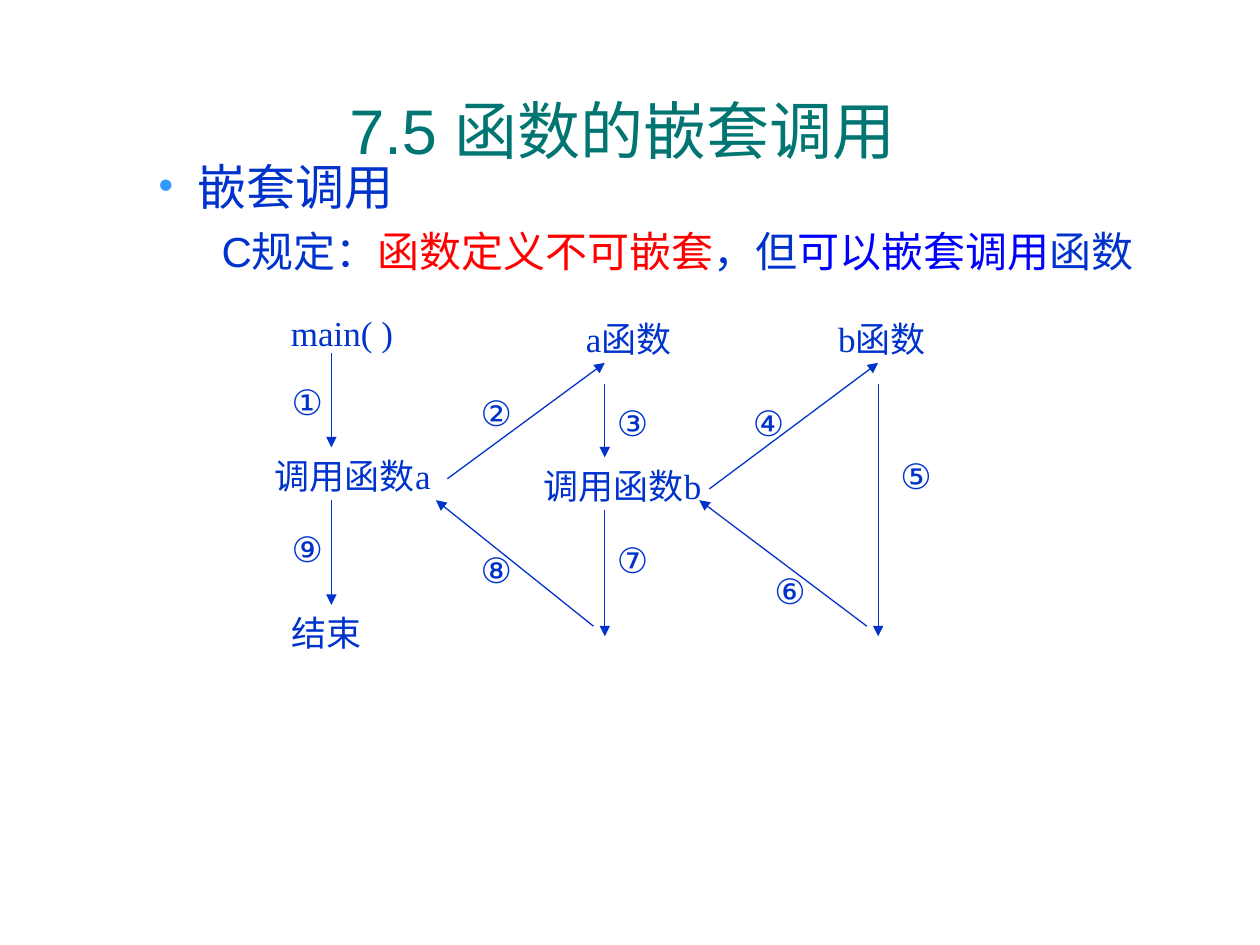
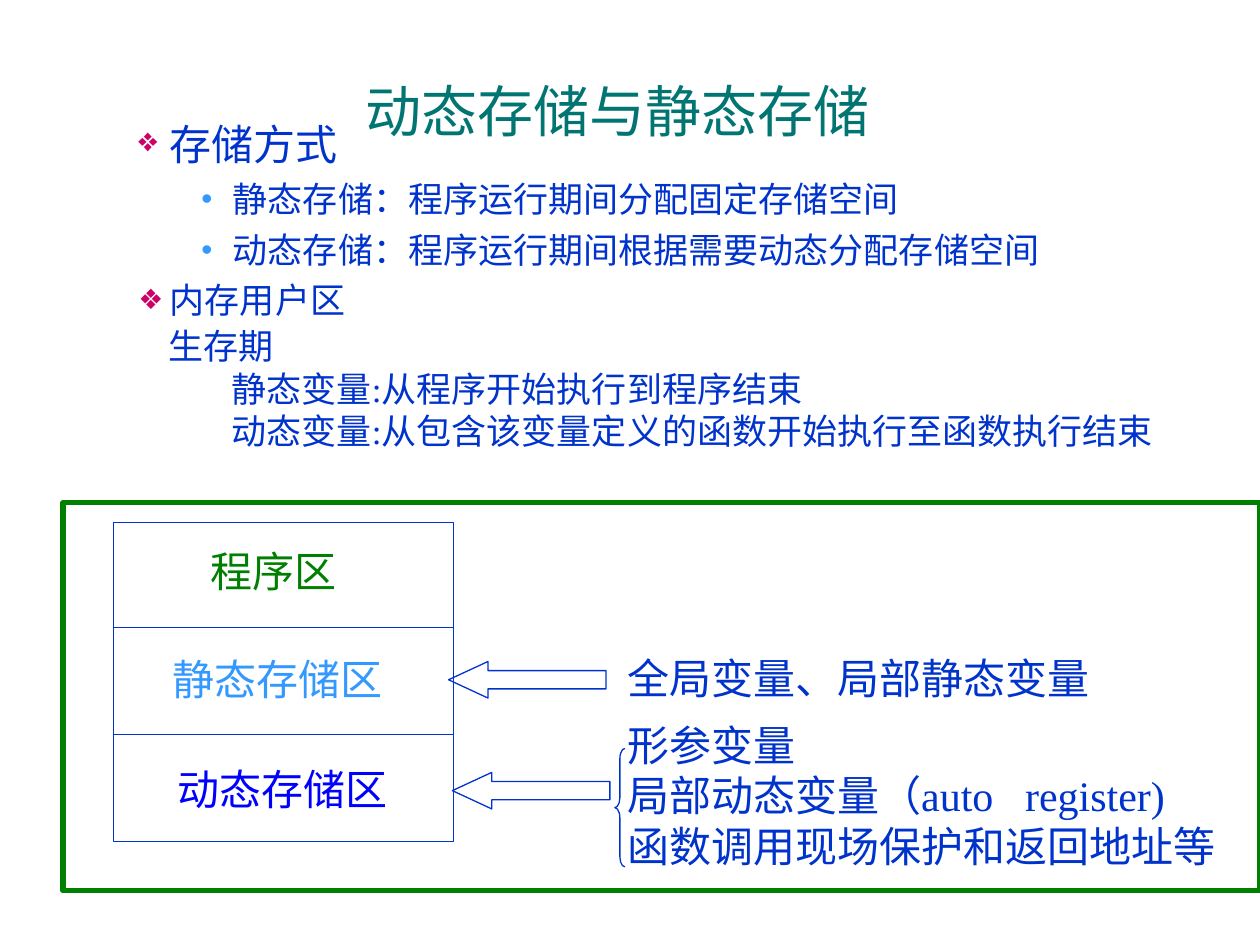
import pptx
import pptx.dml.color
import pptx.enum.shapes
import pptx.enum.text
import pptx.oxml.ns
import pptx.util
from lxml import etree

Inches = pptx.util.Inches
Pt = pptx.util.Pt
RGBColor = pptx.dml.color.RGBColor
PP_ALIGN = pptx.enum.text.PP_ALIGN
MSO_ANCHOR = pptx.enum.text.MSO_ANCHOR
MSO_AUTO_SIZE = pptx.enum.text.MSO_AUTO_SIZE
MSO_SHAPE = pptx.enum.shapes.MSO_SHAPE
qn = pptx.oxml.ns.qn

TEAL = RGBColor(0x00, 0x75, 0x72)
BLUE = RGBColor(0x00, 0x33, 0xCC)
PURE_BLUE = RGBColor(0x00, 0x00, 0xFF)
SKY = RGBColor(0x33, 0x99, 0xFF)
RED = RGBColor(0xFF, 0x00, 0x00)
GREEN = RGBColor(0x00, 0x80, 0x00)
MAGENTA = RGBColor(0xCC, 0x00, 0x66)
WHITE = RGBColor(0xFF, 0xFF, 0xFF)
SANS = "Arial"
SERIF = "Times New Roman"
DIAMOND = ("❖", MAGENTA, 80)
LABEL_SLACK = 0.1


def add_text(slide, box, paragraphs, font, align=PP_ALIGN.LEFT, anchor=MSO_ANCHOR.MIDDLE):
    frame = slide.shapes.add_textbox(*map(Inches, box)).text_frame
    frame.word_wrap = True
    frame.vertical_anchor = anchor
    for index, (runs, size, margin, hanging, space, bullet) in enumerate(paragraphs):
        paragraph = frame.add_paragraph() if index else frame.paragraphs[0]
        paragraph.alignment = align
        if index:
            paragraph.space_before = Pt(space)
        properties = paragraph._p.get_or_add_pPr()
        properties.set("marL", str(Inches(margin)))
        properties.set("indent", str(Inches(-hanging)))
        if bullet:
            symbol, bullet_color, percent = bullet
            color_element = etree.SubElement(properties, qn("a:buClr"))
            etree.SubElement(color_element, qn("a:srgbClr"), val=str(bullet_color))
            etree.SubElement(properties, qn("a:buSzPct"), val=str(percent * 1000))
            if symbol == "•":
                etree.SubElement(properties, qn("a:buFont"), typeface=SANS)
            etree.SubElement(properties, qn("a:buChar"), char=symbol)
        paragraph.font.name = font
        paragraph.font.size = Pt(size)
        paragraph.font.color.rgb = runs[0][1]
        for text, color in runs:
            run = paragraph.add_run()
            run.text = text
            if len(runs) > 1:
                run.font.color.rgb = color
            if text == " ":
                run._r.get_or_add_rPr().set("spc", "1200")


def add_line(slide, start, end, arrow=False):
    line = slide.shapes.add_connector(
        pptx.enum.shapes.MSO_CONNECTOR.STRAIGHT, *map(Inches, start + end))
    line.line.color.rgb = BLUE
    line.line.width = Pt(0.75)
    properties = line._element.spPr
    if arrow:
        etree.SubElement(properties.find(qn("a:ln")), qn("a:tailEnd"), type="triangle")
    etree.SubElement(properties, qn("a:effectLst"))


deck = pptx.Presentation()
deck.slide_width = Inches(10)
deck.slide_height = Inches(7.5)

slides = []
for heading, left, top, inset, size in (
    ("7.5 函数的嵌套调用", 0.69, 0.7, 0.03, 36),
    ("动态存储与静态存储", 0.65, 0.52, 0.09, 32),
):
    slide = deck.slides.add_slide(deck.slide_layouts[5])
    title = slide.shapes.title
    title.left, title.top = Inches(left), Inches(top)
    title.width, title.height = Inches(8.5), Inches(1.25)
    title.text_frame.text = heading
    title.text_frame.auto_size = MSO_AUTO_SIZE.NONE
    title.text_frame.vertical_anchor = MSO_ANCHOR.TOP
    title.text_frame.margin_top = Inches(inset)
    heading_line = title.text_frame.paragraphs[0]
    heading_line.alignment = PP_ALIGN.CENTER
    heading_line.font.name = SANS
    heading_line.font.size = Pt(size)
    heading_line.font.color.rgb = TEAL
    slides.append(slide)
nesting, storage = slides

rule = [("C规定：", BLUE), ("函数定义不可嵌套", RED), ("，但", BLUE),
        ("可以嵌套调用", PURE_BLUE), ("函数", BLUE)]
add_text(nesting, (0.66, 1.19, 9.08, 1.67), [
    ([("嵌套调用", BLUE)], 28, 0.81, 0.31, 0, ("•", SKY, 85)),
    (rule, 24, 1.25, 0.25, 6, None),
], SANS, anchor=MSO_ANCHOR.TOP)

for label, left, top, width in (
    ("main( )", 2.21, 2.42, 1.01),
    ("调用函数a", 2.05, 3.55, 1.5),
    ("结束", 2.22, 4.8, 0.75),
    ("a函数", 4.52, 2.47, 0.94),
    ("b函数", 6.52, 2.47, 0.96),
    ("调用函数b", 4.18, 3.63, 1.52),
):
    add_text(nesting, (left - LABEL_SLACK, top, width + 2 * LABEL_SLACK, 0.44),
             [([(label, BLUE)], 20, 0, 0, 0, None)], SERIF, PP_ALIGN.CENTER)

for step, left, top, start, end in (
    ("①", 2.22, 2.97, (2.63, 2.8), (2.63, 3.55)),
    ("②", 3.72, 3.05, (3.55, 3.8), (4.8, 2.88)),
    ("③", 4.8, 3.13, (4.8, 3.05), (4.8, 3.63)),
    ("④", 5.88, 3.13, (5.63, 3.88), (6.97, 2.88)),
    ("⑤", 7.05, 3.55, (6.97, 3.05), (6.97, 5.05)),
    ("⑥", 6.05, 4.47, (6.88, 4.97), (5.55, 3.97)),
    ("⑦", 4.8, 4.22, (4.8, 4.05), (4.8, 5.05)),
    ("⑧", 3.72, 4.3, (4.71, 4.97), (3.46, 3.97)),
    ("⑨", 2.22, 4.13, (2.63, 3.97), (2.63, 4.8)),
):
    add_line(nesting, start, end, arrow=True)
    add_text(nesting, (left - LABEL_SLACK, top, 0.44 + 2 * LABEL_SLACK, 0.44),
             [([(step, BLUE)], 20, 0, 0, 0, None)], SANS, PP_ALIGN.CENTER)

add_text(storage, (0, 0.89, 9.39, 2.73), [
    ([("存储方式", BLUE)], 24, 1.25, 0.25, 0, DIAMOND),
    ([("静态存储：程序运行期间分配固定存储空间", BLUE)], 20, 1.75, 0.25, 5, ("•", SKY, 90)),
    ([("动态存储：程序运行期间根据需要动态分配存储空间", BLUE)], 20, 1.75, 0.25, 5, ("•", SKY, 90)),
    ([("内存用户区", BLUE)], 20, 1.25, 0.25, 5, DIAMOND),
], SANS, anchor=MSO_ANCHOR.TOP)

add_text(storage, (0.24, 2.53, 9.39, 1.29), [
    ([("生存期", BLUE)], 20, 1, 0, 0, None),
    ([("静态变量:从程序开始执行到程序结束", BLUE)], 20, 1.5, 0, 0, None),
    ([("动态变量:从包含该变量定义的函数开始执行至函数执行结束", BLUE)], 20, 1.5, 0, 0, None),
], SERIF, anchor=MSO_ANCHOR.TOP)

for preset, box, fill, color, weight, adjustments in (
    (MSO_SHAPE.RECTANGLE, (0.5, 3.99, 9.5, 3.08), WHITE, GREEN, 3, ()),
    (MSO_SHAPE.RECTANGLE, (0.9, 4.15, 2.7, 2.53), None, BLUE, 0.75, ()),
    (MSO_SHAPE.LEFT_ARROW, (3.56, 5.25, 1.25, 0.29), None, BLUE, 0.75, (0.5, 1.08)),
    (MSO_SHAPE.LEFT_ARROW, (3.59, 6.13, 1.25, 0.29), None, BLUE, 0.75, (0.5, 1.08)),
    (MSO_SHAPE.LEFT_BRACE, (4.88, 5.94, 0.08, 0.94), None, BLUE, 0.75, (1, 0.5)),
):
    shape = storage.shapes.add_shape(preset, *map(Inches, box))
    shape.shadow.inherit = False
    shape.line.color.rgb = color
    shape.line.width = Pt(weight)
    if fill:
        shape.fill.solid()
        shape.fill.fore_color.rgb = fill
    else:
        shape.fill.background()
    for index, value in enumerate(adjustments):
        shape.adjustments[index] = value

for divider in (4.98, 5.83):
    add_line(storage, (0.9, divider), (3.6, divider))

for left, top, width, height, lines, color in (
    (1.57, 4.28, 1.2, 0.5, [["程序区"]], GREEN),
    (1.27, 5.14, 1.86, 0.5, [["静态存储区"]], SKY),
    (1.31, 6.01, 1.86, 0.5, [["动态存储区"]], PURE_BLUE),
    (4.88, 5.13, 3.86, 0.5, [["全局变量、局部静态变量"]], BLUE),
    (4.88, 5.66, 4.86, 1.3,
     [["形参变量"], ["局部动态变量（auto", " ", "register)"],
      ["函数调用现场保护和返回地址等"]], BLUE),
):
    add_text(storage, (left, top, width + 2 * LABEL_SLACK, height),
             [([(part, color) for part in line], 24, 0, 0, 0, None) for line in lines], SERIF)

deck.save("out.pptx")
